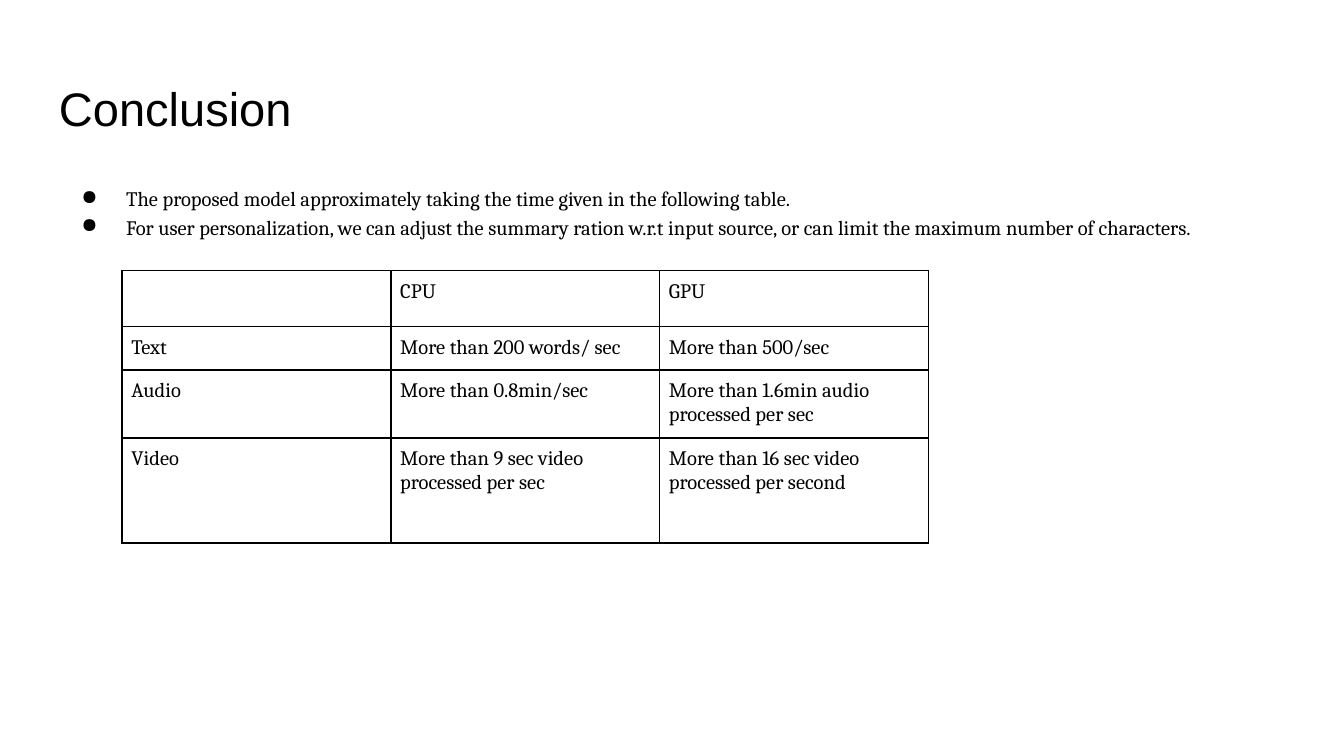
from lxml import etree
from pptx import Presentation
from pptx.dml.color import RGBColor
from pptx.enum.text import MSO_ANCHOR, PP_ALIGN
from pptx.oxml.ns import qn
from pptx.util import Pt

LEFT, JUST = PP_ALIGN.LEFT, PP_ALIGN.JUSTIFY
TOP, MID = MSO_ANCHOR.TOP, MSO_ANCHOR.MIDDLE
SIDES = ("a:lnL", "a:lnR", "a:lnT", "a:lnB")


def tint(code):
    return RGBColor.from_string(code)


def mark(para, char, left, hang, ink):
    props = para._p.get_or_add_pPr()
    props.set("marL", str(Pt(left)))
    props.set("indent", str(Pt(-hang)))
    color = etree.SubElement(props, qn("a:buClr"))
    etree.SubElement(color, qn("a:srgbClr"), val=ink)
    etree.SubElement(props, qn("a:buChar"), char=char)


def write(frame, text, size=11, face="Cambria", ink="000000",
          align=LEFT, space=1.0, char=None, pad=7.2, anchor=TOP):
    frame.word_wrap = True
    frame.vertical_anchor = anchor
    frame.margin_left = frame.margin_right = Pt(pad)
    frame.margin_top = frame.margin_bottom = Pt(pad)
    for i, line in enumerate(text.split("\n")):
        para = frame.add_paragraph() if i else frame.paragraphs[0]
        para.alignment = align
        para.line_spacing = space
        if char:
            mark(para, char, 36, 24, ink)
        para.font.size = Pt(size)
        if line:
            run = para.add_run()
            run.text = line
            run.font.size = Pt(size)
            run.font.name = face
            run.font.color.rgb = tint(ink)


class Deck:
    ink = "000000"

    def __init__(self, wide, high):
        self.show = Presentation()
        self.show.slide_width = Pt(wide)
        self.show.slide_height = Pt(high)
        self.slide = self.show.slides.add_slide(self.show.slide_layouts[6])

    def text(self, x, y, wide, high, words, **style):
        box = self.slide.shapes.add_textbox(Pt(x), Pt(y), Pt(wide), Pt(high))
        write(box.text_frame, words, **style)

    def edge(self, cell):
        props = cell._tc.get_or_add_tcPr()
        for i, side in enumerate(SIDES):
            line = etree.Element(qn(side), w=str(Pt(1)))
            fill = etree.SubElement(line, qn("a:solidFill"))
            etree.SubElement(fill, qn("a:srgbClr"), val=self.ink)
            props.insert(i, line)

    def table(self, x, y, cols, rows, data):
        grid = self.slide.shapes.add_table(
            len(rows), len(cols), Pt(x), Pt(y), Pt(sum(cols)), Pt(sum(rows))).table
        grid.first_row = grid.horz_banding = False
        for col, wide in zip(grid.columns, cols):
            col.width = Pt(wide)
        for row, high, words in zip(grid.rows, rows, data):
            row.height = Pt(high)
            for cell, word in zip(row.cells, words):
                write(cell.text_frame, word, pad=0)
                cell.margin_left = cell.margin_right = Pt(5)
                cell.margin_top = cell.margin_bottom = Pt(5)
                cell.vertical_anchor = TOP
                cell.fill.background()
                self.edge(cell)


def main():
    deck = Deck(720, 405)
    deck.text(24.5, 35, 671, 45, "Conclusion", size=25.2, face="Arial", anchor=MID)
    deck.text(
        24.5, 90.7, 671, 269,
        "The proposed model approximately taking the time given in the following table.\n"
        "For user personalization, we can adjust the summary ration w.r.t input source, "
        "or can limit the maximum number of characters.",
        align=JUST, space=1.15, char="●")
    deck.table(65.4, 145, [144] * 3, [30, 22.8, 35.6, 56.2], [
        ("", "CPU", "GPU"),
        ("Text", "More than 200 words/ sec", "More than 500/sec"),
        ("Audio", "More than 0.8min/sec", "More than 1.6min audio processed per sec"),
        ("Video", "More than 9 sec video processed per sec",
         "More than 16 sec video processed per second"),
    ])
    deck.show.save("out.pptx")


if __name__ == "__main__":
    main()
